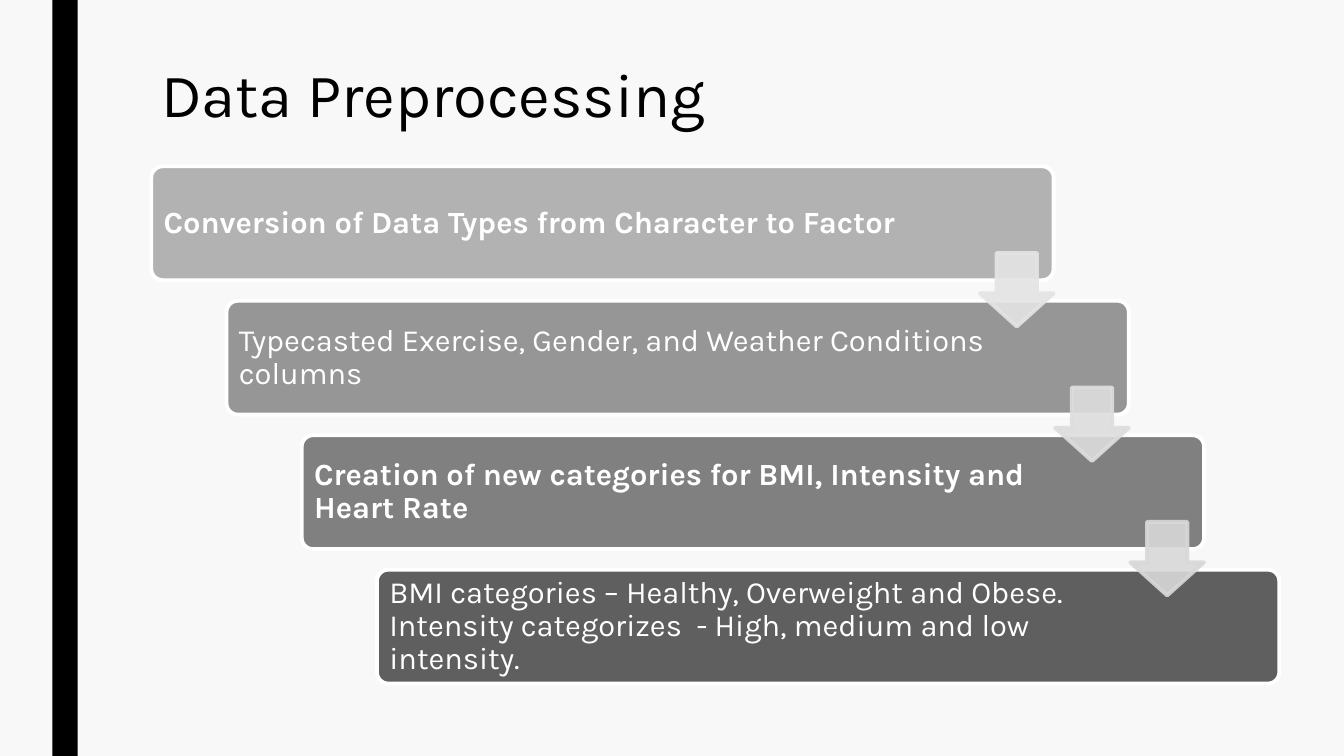
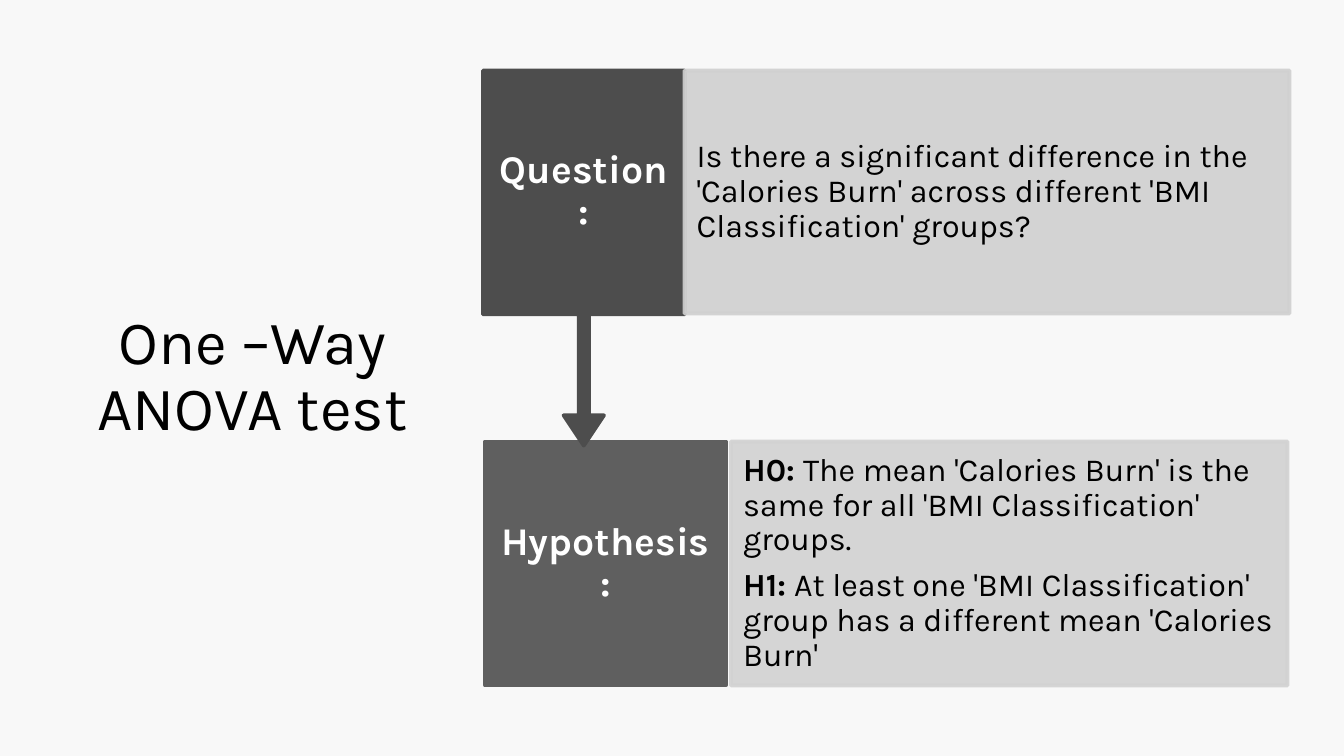
from lxml import etree
from pptx import Presentation
from pptx.dml.color import RGBColor
from pptx.enum import shapes, text
from pptx.oxml.ns import qn
from pptx.util import Inches, Pt

# Content
STEPS = [  # words, bold, fill
    ("Conversion of Data Types from Character to Factor", True, "step1"),
    ("Typecasted Exercise, Gender, and Weather Conditions columns", False, "step2"),
    ("Creation of new categories for BMI, Intensity and Heart Rate", True, "step3"),
    ("BMI categories – Healthy, Overweight and Obese. "
     "Intensity categorizes  - High, medium and low intensity.", False, "step4"),
]
ARROW_FILLS = ["arrow1", "arrow2", "arrow3"]
QUESTION = [[("Is there a significant difference in the 'Calories Burn' across "
              "different 'BMI Classification' groups?", False)]]
HYPOTHESES = [
    [("H0: ", True), ("The mean 'Calories Burn' is the same for all "
                      "'BMI Classification' groups.", False)],
    [("H1: ", True), ("At least one 'BMI Classification' group has a different "
                      "mean 'Calories Burn'", False)],
]

# Shared style
COLOURS = {
    "page": "F8F8F8", "ink": "000000", "white": "FFFFFF",
    "step1": "B2B2B2", "step2": "969696", "step3": "808080", "step4": "5F5F5F",
    "arrow1": "E4E4E4", "arrow2": "DDDDDD", "arrow3": "D8D8D8",
    "question": "4D4D4D", "hypothesis": "5F5F5F",
    "question_body": "D0D0D0", "hypothesis_body": "D2D2D2",
}
FONT = "Karla"
LINE_WIDTH = 2.75
KINDS = shapes.MSO_SHAPE
LEFT, CENTRE = text.PP_ALIGN.LEFT, text.PP_ALIGN.CENTER
TOP, MIDDLE = text.MSO_ANCHOR.TOP, text.MSO_ANCHOR.MIDDLE
LABEL_INSETS = (0.14, 0.22, 0.14, 0.22)
BODY_INSETS = (0.12, 0.32, 0.12, 0.32)


def colour(name):
    return RGBColor.from_string(COLOURS[name])


def add_shape(page, kind, area, fill, line=None, opacity=100, adjustments=()):
    shape = page.shapes.add_shape(kind, *map(Inches, area))
    shape.shadow.inherit = False
    for index, value in enumerate(adjustments):
        shape.adjustments[index] = value
    shape.fill.solid()
    shape.fill.fore_color.rgb = colour(fill)
    if line:
        shape.line.color.rgb = colour(line)
        shape.line.width = Pt(LINE_WIDTH)
        etree.SubElement(shape._element.spPr.find(qn("a:ln")), qn("a:round"))
    else:
        shape.line.fill.background()
    if opacity < 100:
        for tone in shape._element.spPr.iter(qn("a:srgbClr")):
            etree.SubElement(tone, qn("a:alpha"), val=str(opacity * 1000))
    return shape


def write(shape, paragraphs, size, ink, align=LEFT, anchor=MIDDLE,
          insets=(0.1, 0.05, 0.1, 0.05), spacing=0.9):
    frame = shape.text_frame
    frame.word_wrap = True
    frame.vertical_anchor = anchor
    (frame.margin_left, frame.margin_top,
     frame.margin_right, frame.margin_bottom) = map(Inches, insets)
    for index, spans in enumerate(paragraphs):
        para = frame.add_paragraph() if index else frame.paragraphs[0]
        para.alignment = align
        para.line_spacing = spacing
        para.space_after = Pt(round(size * 0.35))
        for words, bold in spans:
            span = para.add_run()
            span.text = words
            span.font.name = FONT
            span.font.size = Pt(size)
            span.font.bold = bold
            span.font.color.rgb = colour(ink)


def add_text(page, area, paragraphs, size, ink, **style):
    box = page.shapes.add_textbox(*map(Inches, area))
    write(box, paragraphs, size, ink, **style)


def add_title(page, area, words, **style):
    add_text(page, area, [[(words, False)]], 44, "ink", spacing=0.89, **style)


def build_preprocessing(page):
    add_shape(page, KINDS.RECTANGLE, (0.52, 0, 0.25, 7.5), "ink")
    add_title(page, (1.5, 0.59, 10.5, 0.9), "Data Preprocessing", anchor=TOP)

    # Staircase of steps
    left, top, width, height = 1.5, 1.65, 8.95, 1.13
    step_x, step_y, arrow_size = 0.746, 1.334, 0.73
    for index, (words, bold, fill) in enumerate(STEPS):
        area = (left + index * step_x, top + index * step_y, width, height)
        step = add_shape(page, KINDS.ROUNDED_RECTANGLE, area, fill, "white",
                         adjustments=[0.1])
        write(step, [[(words, bold)]], 22, "white",
              insets=(0.09, 0.09, 1.34, 0.09))

    # Arrows end flush with the right edge of the step above
    for index, fill in enumerate(ARROW_FILLS):
        area = (left + width - arrow_size + index * step_x,
                top + 0.86 + index * step_y, arrow_size, arrow_size)
        add_shape(page, KINDS.DOWN_ARROW, area, fill, fill, 90, [0.55, 0.45])


def build_anova(page):
    add_title(page, (0.7, 0.7, 3.61, 6.1), "One –Way ANOVA test", align=CENTRE)

    # Hypothesis row
    label = add_shape(page, KINDS.RECTANGLE, (4.81, 4.38, 2.39, 2.42),
                      "hypothesis", "hypothesis")
    write(label, [[("Hypothesis :", True)]], 28, "white", align=CENTRE,
          insets=LABEL_INSETS)
    body = add_shape(page, KINDS.RECTANGLE, (7.25, 4.38, 5.52, 2.42),
                     "hypothesis_body", "hypothesis_body", 90)
    write(body, HYPOTHESES, 23, "ink", insets=BODY_INSETS)

    # Question row, its callout turned to point down
    callout = add_shape(page, KINDS.UP_ARROW_CALLOUT, (4.79, 0.7, 2, 3.72),
                        "question", "question",
                        adjustments=[0.05, 0.1, 0.15, 0.65])
    callout.rotation = 180
    add_text(page, (4.79, 0.7, 2, 2.41), [[("Question :", True)]], 28, "white",
             align=CENTRE, insets=LABEL_INSETS)
    body = add_shape(page, KINDS.RECTANGLE, (6.79, 0.7, 6, 2.41),
                     "question_body", "question_body", 90)
    write(body, QUESTION, 23, "ink", insets=BODY_INSETS)


def main():
    deck = Presentation()
    deck.slide_width, deck.slide_height = Inches(13.33), Inches(7.5)
    backdrop = deck.slide_master.background.fill
    backdrop.solid()
    backdrop.fore_color.rgb = colour("page")
    for build in (build_preprocessing, build_anova):
        build(deck.slides.add_slide(deck.slide_layouts[6]))
    deck.save("out.pptx")


if __name__ == "__main__":
    main()
